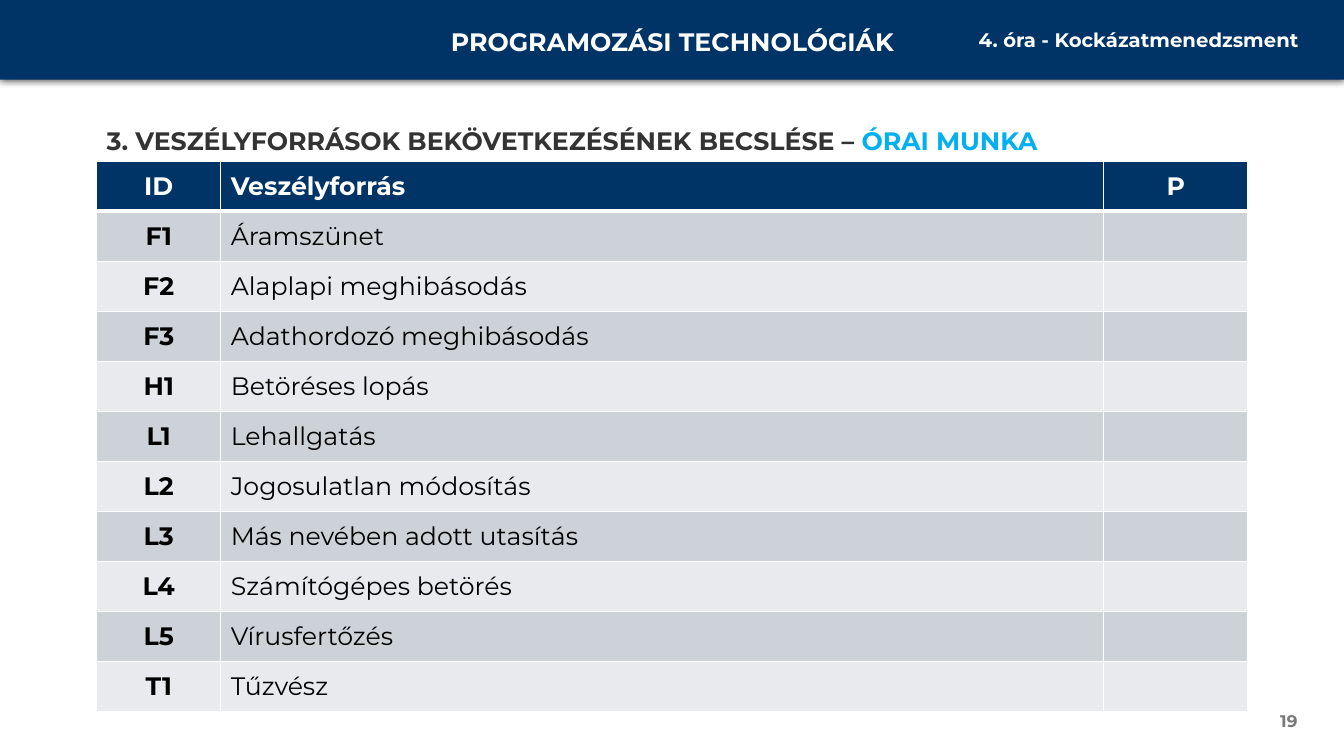
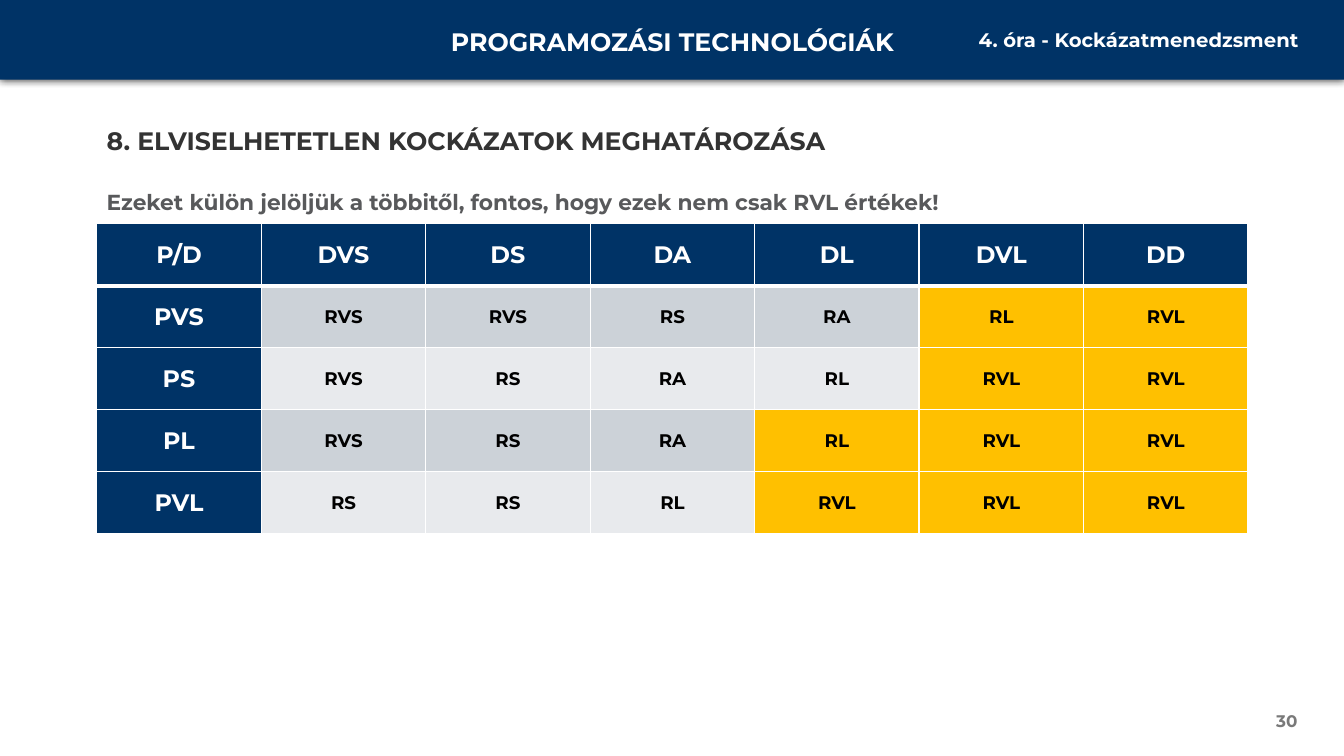
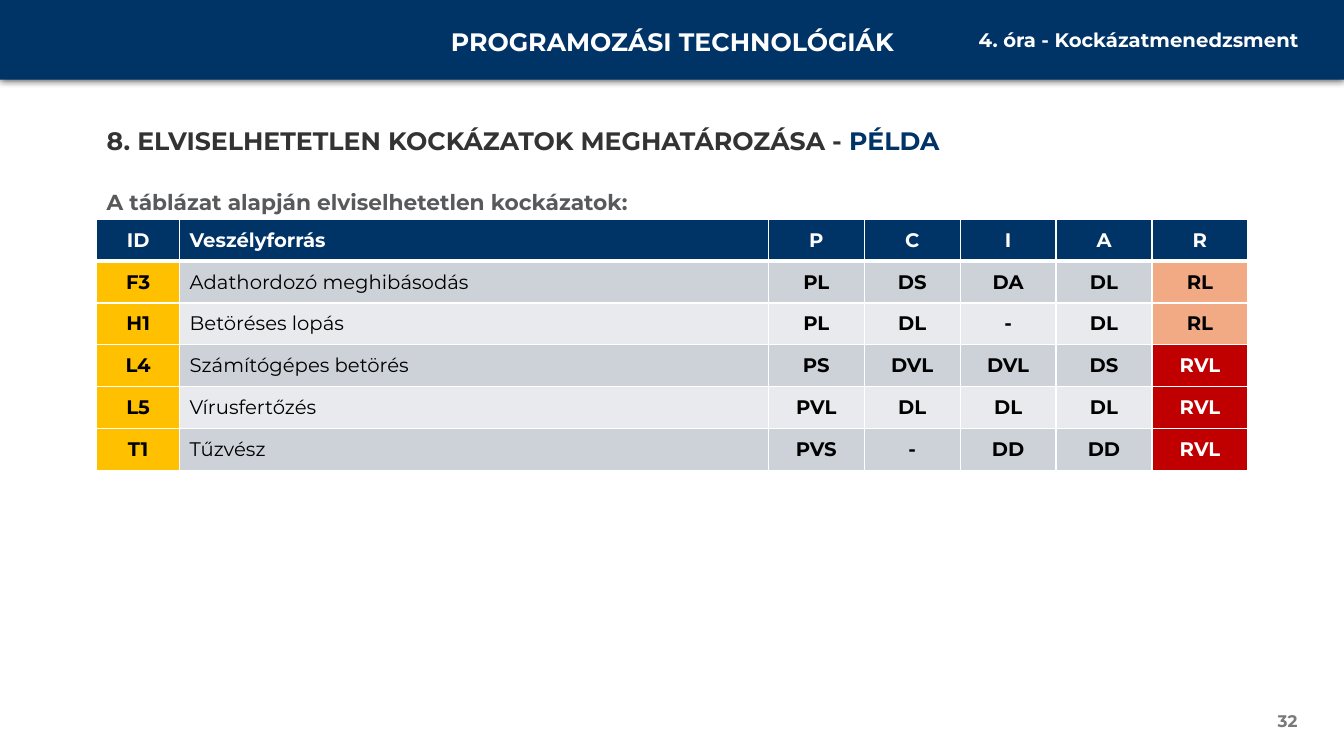
from dataclasses import dataclass

from lxml import etree
from pptx import Presentation
from pptx import util as u
from pptx.dml.color import RGBColor
from pptx.enum import shapes, text
from pptx.oxml import ns


@dataclass(frozen=True)
class Theme:
    font: str = "Montserrat"
    navy: str = "003366"
    white: str = "FFFFFF"
    black: str = "000000"
    heading: str = "333333"
    note: str = "58595B"
    number: str = "797979"
    sky: str = "00B0F0"
    stripes: tuple = ("CCD2D8", "E8EAED")
    amber: str = "FFC000"
    peach: str = "F2AA84"
    red: str = "C00000"
    title_size: float = 18
    note_size: float = 15.5
    lesson_size: float = 14
    number_size: float = 12
    matrix_size: float = 17
    value_size: float = 13
    thin: float = 1
    thick: float = 3


THEME = Theme()
LEFT, CENTER, RIGHT = (text.PP_ALIGN.LEFT, text.PP_ALIGN.CENTER, text.PP_ALIGN.RIGHT)
MARGIN, CONTENT, LINE = 7.2, 85.66, 5.33


class Slides:
    def __init__(self, theme):
        self.theme = theme
        self.deck = Presentation()
        self.deck.slide_width = u.Inches(13.33)
        self.deck.slide_height = u.Inches(7.5)
        self.page = None

    def place(self, left, top, width, height):
        across, down = self.deck.slide_width / 100, self.deck.slide_height / 100
        return [int(share * side) for share, side in
                zip((left, top, width, height), (across, down, across, down))]

    def add_span(self, para, content, size, color, bold=True):
        span = para.add_run()
        span.text = content
        values = {"name": self.theme.font, "size": u.Pt(size), "bold": bold}
        for name, value in values.items():
            setattr(span.font, name, value)
        span.font.color.rgb = RGBColor.from_string(color)

    def label(self, area, spans, size, align=LEFT, anchor=text.MSO_ANCHOR.TOP):
        frame = self.page.shapes.add_textbox(*self.place(*area)).text_frame
        values = {"word_wrap": True, "vertical_anchor": anchor}
        for name, value in values.items():
            setattr(frame, name, value)
        para = frame.paragraphs[0]
        para.alignment = align
        for content, color in spans:
            self.add_span(para, content, size, color)

    def band(self):
        box = self.page.shapes.add_shape(
            shapes.MSO_SHAPE.RECTANGLE, *self.place(0, 0, 100, 10.53))
        box.fill.solid()
        box.fill.fore_color.rgb = RGBColor.from_string(self.theme.navy)
        box.line.fill.background()
        box.shadow.inherit = False
        effects = box.element.spPr.find(ns.qn("a:effectLst"))
        shadow = etree.SubElement(effects, ns.qn("a:outerShdw"), blurRad=str(u.Pt(6)),
                                  dist="0", dir="5400000", algn="t", rotWithShape="0")
        color = etree.SubElement(shadow, ns.qn("a:srgbClr"), val=self.theme.black)
        etree.SubElement(color, ns.qn("a:alpha"), val="80000")

    def start(self, number, heading, note=None):
        theme = self.theme
        self.page = self.deck.slides.add_slide(self.deck.slide_layouts[6])
        self.band()
        self.label((30.45, 2.8, 39.15, LINE), [("PROGRAMOZÁSI TECHNOLÓGIÁK", theme.white)],
                   theme.title_size, CENTER)
        self.label((70.28, 3.07, 27.08, 4.53), [("4. óra - Kockázatmenedzsment", theme.white)],
                   theme.lesson_size, RIGHT)
        self.label((MARGIN, 15.87, CONTENT, LINE), heading, theme.title_size)
        self.label((74.78, 92.67, 22.5, LINE), [(str(number), theme.number)],
                   theme.number_size, RIGHT, text.MSO_ANCHOR.MIDDLE)
        if note:
            self.label((MARGIN, 24.27, CONTENT, LINE), [(note, theme.note)], theme.note_size)

    def borders(self, cell, row):
        theme = self.theme
        widths = {"lnL": theme.thin, "lnR": theme.thin,
                  "lnT": theme.thick if row == 1 else theme.thin,
                  "lnB": theme.thick if row == 0 else theme.thin}
        props = cell._tc.get_or_add_tcPr()
        for side, width in widths.items():
            line = etree.SubElement(props, ns.qn(f"a:{side}"), w=str(u.Pt(width)))
            fill = etree.SubElement(line, ns.qn("a:solidFill"))
            etree.SubElement(fill, ns.qn("a:srgbClr"), val=theme.white)

    def look(self, row, size):
        theme = self.theme
        if row == 0:
            return {"fill": theme.navy, "color": theme.white, "size": size, "bold": True}
        return {"fill": theme.stripes[(row - 1) % 2], "color": theme.black,
                "size": size, "bold": True}

    def table(self, top, height, weights, rows, size, restyle, left_column=None):
        area = self.place(MARGIN, top, CONTENT, height)
        grid = self.page.shapes.add_table(len(rows), len(weights), *area).table
        grid.horz_banding = False
        for column, weight in zip(grid.columns, weights):
            column.width = int(area[2] * weight / sum(weights))
        for row, values in enumerate(rows):
            grid.rows[row].height = area[3] // len(rows)
            for column, value in enumerate(values):
                style = self.look(row, size)
                if row:
                    style.update(restyle(row, column, value))
                cell = grid.cell(row, column)
                cell.vertical_anchor = text.MSO_ANCHOR.MIDDLE
                self.borders(cell, row)
                cell.fill.solid()
                cell.fill.fore_color.rgb = RGBColor.from_string(style.pop("fill"))
                para = cell.text_frame.paragraphs[0]
                para.alignment = LEFT if column == left_column else CENTER
                if value:
                    self.add_span(para, value, **style)


def hazard_style(row, column, value):
    return {"bold": column != 1}


def matrix_style(row, column, value):
    if column == 0:
        return {"fill": THEME.navy, "color": THEME.white}
    tolerable = (4, 4, 3, 3)[row - 1]
    style = {"size": THEME.value_size}
    return style | {"fill": THEME.amber} if column > tolerable else style


def risk_style(row, column, value):
    if column == 0:
        return {"fill": THEME.amber}
    if column == 6:
        return {"RL": {"fill": THEME.peach},
                "RVL": {"fill": THEME.red, "color": THEME.white}}[value]
    return hazard_style(row, column, value)


HAZARDS = {
    "F1": "Áramszünet",
    "F2": "Alaplapi meghibásodás",
    "F3": "Adathordozó meghibásodás",
    "H1": "Betöréses lopás",
    "L1": "Lehallgatás",
    "L2": "Jogosulatlan módosítás",
    "L3": "Más nevében adott utasítás",
    "L4": "Számítógépes betörés",
    "L5": "Vírusfertőzés",
    "T1": "Tűzvész",
}
MATRIX = [
    ("P/D", "DVS", "DS", "DA", "DL", "DVL", "DD"),
    ("PVS", "RVS", "RVS", "RS", "RA", "RL", "RVL"),
    ("PS", "RVS", "RS", "RA", "RL", "RVL", "RVL"),
    ("PL", "RVS", "RS", "RA", "RL", "RVL", "RVL"),
    ("PVL", "RS", "RS", "RL", "RVL", "RVL", "RVL"),
]
RISKS = {
    "F3": ("PL", "DS", "DA", "DL", "RL"),
    "H1": ("PL", "DL", "-", "DL", "RL"),
    "L4": ("PS", "DVL", "DVL", "DS", "RVL"),
    "L5": ("PVL", "DL", "DL", "DL", "RVL"),
    "T1": ("PVS", "-", "DD", "DD", "RVL"),
}


def main():
    slides = Slides(THEME)

    slides.start(19, [("3. VESZÉLYFORRÁSOK BEKÖVETKEZÉSÉNEK BECSLÉSE – ", THEME.heading),
                      ("ÓRAI MUNKA", THEME.sky)])
    hazards = [("ID", "Veszélyforrás", "P")]
    hazards += [(code, name, "") for code, name in HAZARDS.items()]
    slides.table(21.33, 72.8, (1.23, 8.76, 1.43), hazards, THEME.title_size,
                 hazard_style, left_column=1)

    slides.start(30, [("8. ELVISELHETETLEN KOCKÁZATOK MEGHATÁROZÁSA", THEME.heading)],
                 "Ezeket külön jelöljük a többitől, fontos, hogy ezek nem csak RVL értékek!")
    slides.table(29.6, 41, (1,) * 7, MATRIX, THEME.matrix_size, matrix_style)

    slides.start(32, [("8. ELVISELHETETLEN KOCKÁZATOK MEGHATÁROZÁSA - ", THEME.heading),
                      ("PÉLDA", THEME.navy)],
                 "A táblázat alapján elviselhetetlen kockázatok:")
    risks = [("ID", "Veszélyforrás", "P", "C", "I", "A", "R")]
    risks += [(code, HAZARDS[code], *levels) for code, levels in RISKS.items()]
    slides.table(29, 33.2, (0.82, 5.83) + (0.95,) * 5, risks, THEME.lesson_size,
                 risk_style, left_column=1)

    slides.deck.save("out.pptx")


if __name__ == "__main__":
    main()
